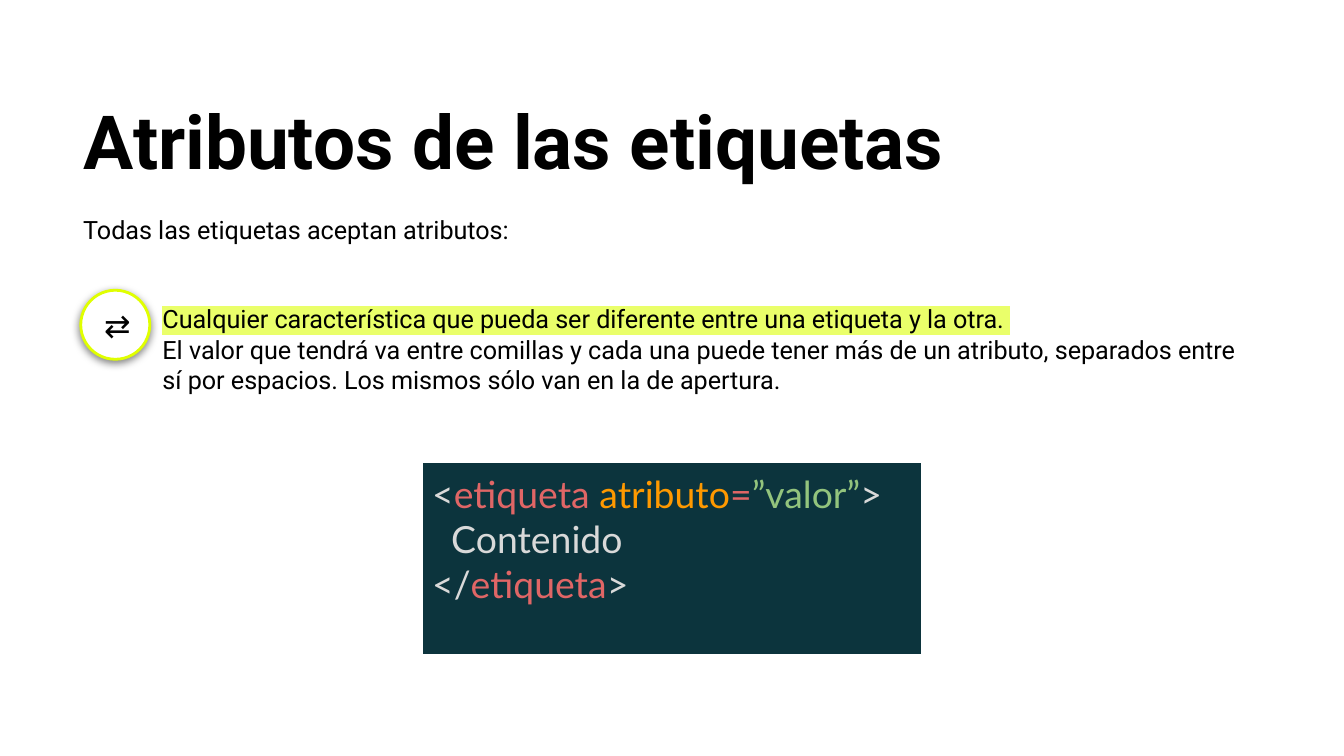
from dataclasses import dataclass

from lxml import etree
from pptx import Presentation
from pptx.dml.color import RGBColor
from pptx.enum.shapes import MSO_SHAPE
from pptx.enum.text import MSO_ANCHOR, MSO_AUTO_SIZE, PP_ALIGN
from pptx.oxml.ns import qn
from pptx.util import Pt

OVAL = MSO_SHAPE.OVAL
TOP, MIDDLE = MSO_ANCHOR.TOP, MSO_ANCHOR.MIDDLE
LEFT, CENTER = PP_ALIGN.LEFT, PP_ALIGN.CENTER
GROW, FIXED = MSO_AUTO_SIZE.SHAPE_TO_FIT_TEXT, MSO_AUTO_SIZE.NONE


@dataclass(frozen=True)
class Theme:
    # Colours
    ink: str = "000000"
    paper: str = "FFFFFF"
    lime: str = "E0FF00"
    marker: str = "EAFF6A"
    panel: str = "0C343D"
    plain: str = "D9D9D9"
    tag: str = "E06666"
    attr: str = "FF9900"
    value: str = "93C47D"
    # Fonts and type sizes
    sans: str = "Roboto"
    code: str = "Lato"
    head: float = 40
    body: float = 13.5
    icon: float = 17
    sample: float = 20


def add(parent, tag, **attrs):
    node = etree.SubElement(parent, qn(tag))
    for key, val in attrs.items():
        node.set(key, str(val))
    return node


def put(frame, paras, *, font, size, color, bold=False, align=LEFT,
        anchor=TOP, pad=7.2, fit=FIXED, line=None):
    """Fill a frame; each paragraph is a list of (text, colour, highlight)."""
    frame.word_wrap = True
    frame.auto_size = fit
    frame.vertical_anchor = anchor
    frame.margin_left = frame.margin_right = Pt(pad)
    frame.margin_top = frame.margin_bottom = Pt(pad)
    for i, parts in enumerate(paras):
        para = frame.add_paragraph() if i else frame.paragraphs[0]
        para.alignment = align
        if line:
            para.line_spacing = line
        for text, tint, mark in parts:
            if text == "\n":
                para.add_line_break()
                continue
            run = para.add_run()
            run.text = text
            run.font.size = Pt(size)
            run.font.bold = bold
            run.font.color.rgb = RGBColor.from_string(tint or color)
            if mark:
                glow = add(run.font.fill._xPr, "a:highlight")
                add(glow, "a:srgbClr", val=mark)
            run.font.name = font


class Deck:
    def __init__(self, theme):
        self.theme = theme
        self.prs = Presentation()
        self.prs.slide_width, self.prs.slide_height = Pt(720), Pt(405)
        self.slide = self.prs.slides.add_slide(self.prs.slide_layouts[5])

    def title(self, text, box):
        t, shape = self.theme, self.slide.shapes.title
        shape.left, shape.top, shape.width, shape.height = map(Pt, box)
        put(shape.text_frame, [[(text, None, None)]], font=t.sans,
            size=t.head, color=t.ink, bold=True, fit=GROW, line=0.9)

    def text(self, paras, box):
        t = self.theme
        shape = self.slide.shapes.add_textbox(*map(Pt, box))
        put(shape.text_frame, paras, font=t.sans, size=t.body,
            color=t.ink, fit=GROW)

    def badge(self, sign, box):
        t = self.theme
        shape = self.slide.shapes.add_shape(OVAL, *map(Pt, box))
        shape.fill.solid()
        shape.fill.fore_color.rgb = RGBColor.from_string(t.paper)
        shape.line.color.rgb = RGBColor.from_string(t.lime)
        shape.line.width = Pt(1.5)
        # Soft shadow straight below
        shape.shadow.inherit = False
        effects = shape._element.spPr.find(qn("a:effectLst"))
        shade = add(effects, "a:outerShdw", blurRad=Pt(4.5), dist=Pt(1.5),
                    dir=90 * 60000, algn="bl", rotWithShape=0)
        add(add(shade, "a:srgbClr", val=t.ink), "a:alpha", val=50000)
        put(shape.text_frame, [[(sign, None, None)]], font=t.sans,
            size=t.icon, color=t.ink, align=CENTER, anchor=MIDDLE)

    def panel(self, paras, box):
        t = self.theme
        table = self.slide.shapes.add_table(1, 1, *map(Pt, box)).table
        table.first_row = table.horz_banding = False
        cell = table.cell(0, 0)
        put(cell.text_frame, paras, font=t.code, size=t.sample, color=t.plain)
        cell.margin_left = cell.margin_right = Pt(5)
        cell.margin_top = cell.margin_bottom = Pt(5)
        # Borders come before the fill in the cell properties
        props = cell._tc.get_or_add_tcPr()
        for side in ("a:lnL", "a:lnR", "a:lnT", "a:lnB"):
            edge = add(props, side, w=Pt(0.75))
            add(add(edge, "a:solidFill"), "a:srgbClr", val=t.paper)
        cell.fill.solid()
        cell.fill.fore_color.rgb = RGBColor.from_string(t.panel)


def main():
    t = Theme()
    deck = Deck(t)

    # Heading and lead-in
    deck.title("Atributos de las etiquetas", (37.5, 49, 641, 58.5))
    deck.text([[("Todas las etiquetas aceptan atributos:", None, None)]],
              (37.5, 107.5, 389.5, 31))

    # Definition with its badge
    deck.text([
        [("Cualquier característica que pueda ser diferente entre una "
          "etiqueta y la otra. ", None, t.marker)],
        [("El valor que tendrá va entre comillas y cada una puede tener más "
          "de un atributo, separados entre sí por espacios. Los mismos sólo "
          "van en la de apertura.", None, None)],
    ], (80, 155.5, 600.5, 80))
    deck.badge("⇄", (43.25, 155.5, 37, 37))

    # Code sample
    deck.panel([
        [("<", None, None), ("etiqueta ", t.tag, None),
         ("atributo", t.attr, None), ("=", t.tag, None),
         ("”valor”", t.value, None), (">", None, None),
         ("\n", None, None), ("  Contenido", None, None)],
        [("</", None, None), ("etiqueta", t.tag, None), (">", None, None)],
    ], (226.5, 247.5, 267, 103))

    deck.prs.save("out.pptx")


if __name__ == "__main__":
    main()
